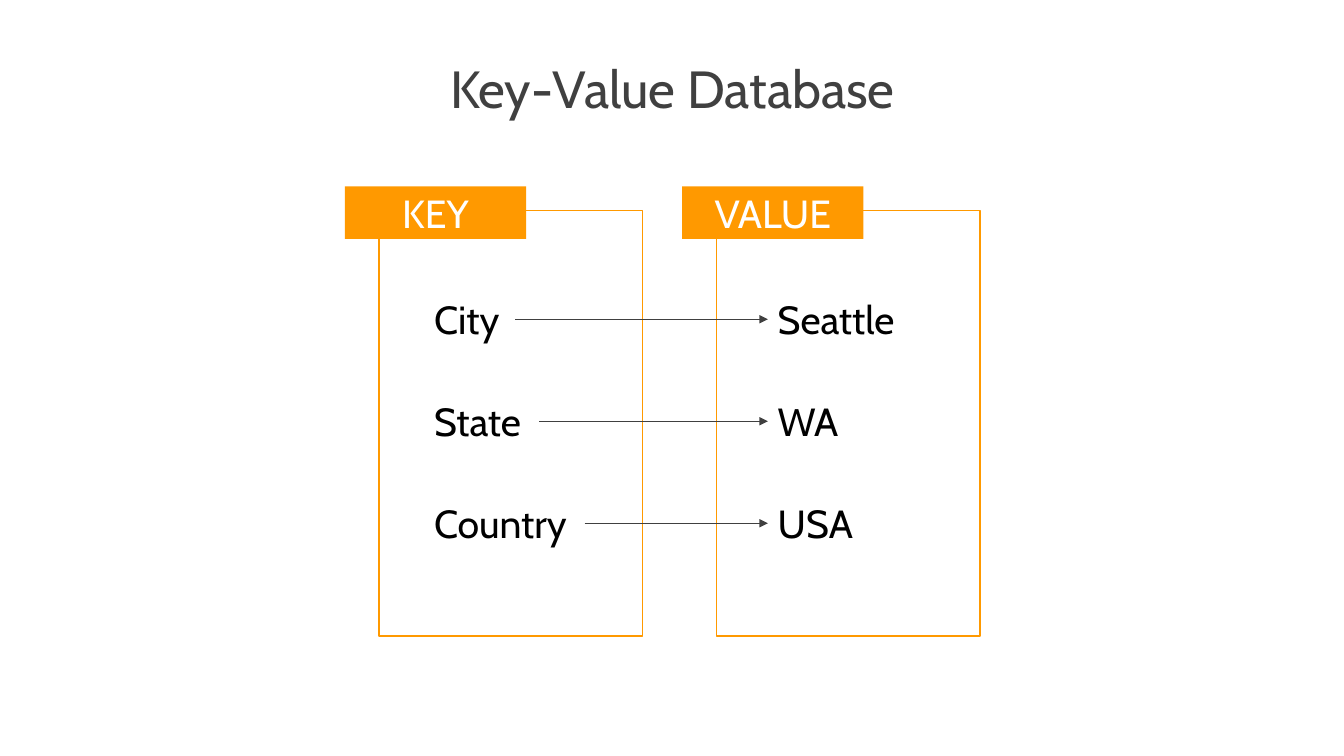
from dataclasses import dataclass

from lxml.etree import SubElement
from pptx import Presentation
from pptx.dml.color import RGBColor
from pptx.enum.shapes import MSO_CONNECTOR, MSO_SHAPE
from pptx.enum.text import MSO_ANCHOR, MSO_AUTO_SIZE, PP_ALIGN
from pptx.oxml.ns import qn
from pptx.util import Cm, Pt


@dataclass(frozen=True)
class Theme:
    font: str = "Cabin"
    title_size: float = 37.3
    body_size: float = 28
    grey: RGBColor = RGBColor(0x40, 0x40, 0x40)
    orange: RGBColor = RGBColor(0xFF, 0x99, 0x00)
    white: RGBColor = RGBColor(0xFF, 0xFF, 0xFF)
    black: RGBColor = RGBColor(0x00, 0x00, 0x00)


def apply_formats(target, formats):
    for name, value in formats.items():
        setattr(target, name, value)


class SlideBuilder:
    def __init__(self, slide, theme):
        self.slide = slide
        self.theme = theme

    def set_wording(self, shape, wording, size, colour, frame=None, paragraph=None):
        apply_formats(shape.text_frame, {"word_wrap": True, **(frame or {})})
        line = shape.text_frame.paragraphs[0]
        line.text = wording
        apply_formats(line, paragraph or {})
        apply_formats(line.font, {"name": self.theme.font, "size": Pt(size)})
        line.font.color.rgb = colour

    def text(self, box, wording, size, colour, frame=None, paragraph=None):
        label = self.slide.shapes.add_textbox(*map(Cm, box))
        self.set_wording(label, wording, size, colour, frame, paragraph)
        return label

    def rectangle(self, box):
        rectangle = self.slide.shapes.add_shape(MSO_SHAPE.RECTANGLE, *map(Cm, box))
        rectangle.shadow.inherit = False
        return rectangle

    def frame(self, box):
        frame = self.rectangle(box)
        frame.fill.background()
        frame.line.color.rgb = self.theme.orange
        frame.line.width = Pt(1)

    def header(self, box, wording):
        header = self.rectangle(box)
        header.fill.solid()
        header.fill.fore_color.rgb = self.theme.orange
        header.line.fill.background()
        self.set_wording(header, wording, self.theme.body_size, self.theme.white,
                         {"vertical_anchor": MSO_ANCHOR.MIDDLE},
                         {"alignment": PP_ALIGN.CENTER})

    def entry(self, box, wording):
        return self.text(box, wording, self.theme.body_size, self.theme.black,
                         {"auto_size": MSO_AUTO_SIZE.SHAPE_TO_FIT_TEXT})

    def arrow(self, start, end):
        arrow = self.slide.shapes.add_connector(MSO_CONNECTOR.STRAIGHT, 0, 0, 0, 0)
        arrow.begin_connect(start, 3)
        arrow.end_connect(end, 1)
        arrow.line.color.rgb = self.theme.grey
        arrow.line.width = Pt(0.5)
        outline = arrow._element.spPr.find(qn("a:ln"))
        SubElement(outline, qn("a:tailEnd"), type="triangle")
        SubElement(arrow._element.spPr, qn("a:effectLst"))


def main():
    deck = Presentation()
    apply_formats(deck, {"slide_width": Cm(33.87), "slide_height": Cm(19.05)})
    theme = Theme()
    builder = SlideBuilder(deck.slides.add_slide(deck.slide_layouts[6]), theme)

    # Title
    builder.text((2.34, 1.57, 29.21, 1.5), "Key-Value Database",
                 theme.title_size, theme.grey,
                 {"vertical_anchor": MSO_ANCHOR.MIDDLE},
                 {"alignment": PP_ALIGN.CENTER, "line_spacing": 0.9})

    # Framed columns with their headers
    column_step = 8.5
    for column, heading in enumerate(("KEY", "VALUE")):
        shift = column * column_step
        builder.frame((9.55 + shift, 5.31, 6.65, 10.72))
        builder.header((8.69 + shift, 4.7, 4.57, 1.32), heading)

    # Keys pointing to their values, each with its width
    pairs = (
        ("City", 2.29, "Seattle", 4.57),
        ("State", 2.9, "WA", 3.1),
        ("Country", 4.04, "USA", 4.47),
    )
    first_top, row_step, row_height = 7.32, 2.57, 1.45
    for row, (key, key_width, value, value_width) in enumerate(pairs):
        top = first_top + row * row_step
        key_label = builder.entry((10.69, top, key_width, row_height), key)
        value_label = builder.entry((19.35, top, value_width, row_height), value)
        builder.arrow(key_label, value_label)

    deck.save("out.pptx")


if __name__ == "__main__":
    main()
